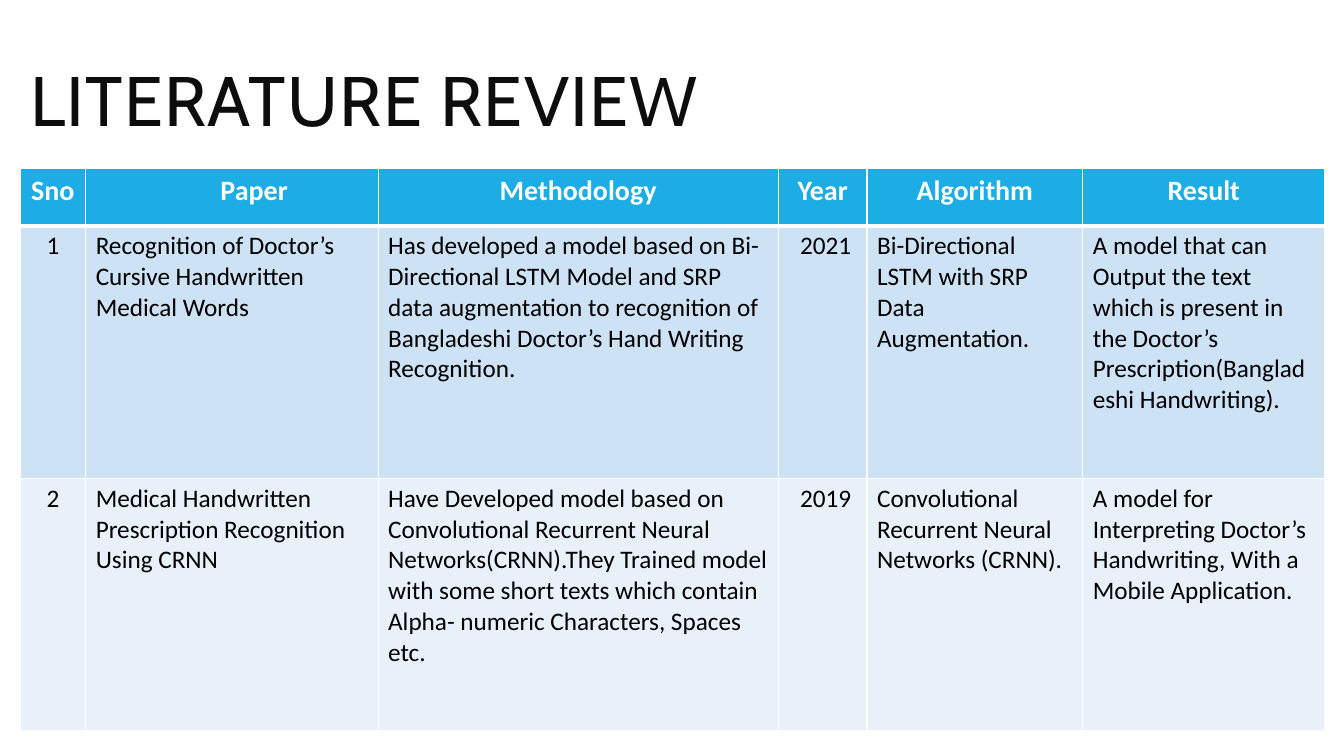
from lxml.etree import SubElement
from pptx import Presentation
from pptx.dml.color import RGBColor
from pptx.enum.text import MSO_ANCHOR, PP_ALIGN
from pptx.oxml.ns import qn
from pptx.util import Inches, Pt

WHITE = RGBColor(0xFF, 0xFF, 0xFF)
BLACK = RGBColor(0x00, 0x00, 0x00)
TITLE_INK = RGBColor(0x0D, 0x0D, 0x0D)
HEADER_BLUE = RGBColor(0x1C, 0xAD, 0xE4)
ROW_BLUES = [RGBColor(0xCD, 0xE3, 0xF5), RGBColor(0xE8, 0xF1, 0xFA)]

COLUMN_WIDTHS = [0.65, 2.9, 3.97, 0.88, 2.14, 2.4]
HEADER_HEIGHT = 0.57
CENTERED_COLUMNS = ("Sno", "Year")
HEADINGS = ["Sno", "Paper", "Methodology", "Year", "Algorithm", "Result"]
PAPERS = [
    ["1",
     "Recognition of Doctor’s Cursive Handwritten Medical Words",
     "Has developed a model based on Bi-Directional LSTM Model and SRP data "
     "augmentation to recognition of Bangladeshi Doctor’s Hand Writing Recognition.",
     "2021",
     "Bi-Directional LSTM with SRP Data Augmentation.",
     "A model that can Output the text which is present in the Doctor’s "
     "Prescription(Bangladeshi Handwriting)."],
    ["2",
     "Medical Handwritten Prescription Recognition Using CRNN",
     "Have Developed model based on Convolutional Recurrent Neural "
     "Networks(CRNN).They Trained model with some short texts which contain "
     "Alpha- numeric Characters, Spaces etc.",
     "2019",
     "Convolutional Recurrent Neural Networks (CRNN).",
     "A model for Interpreting Doctor’s Handwriting, With a Mobile Application."],
]


def set_font(font, name, size, color, bold=False):
    font.name = name
    font.size = Pt(size)
    font.color.rgb = color
    font.bold = bold


def add_title(slide, left, top, width, height):
    title = slide.shapes.add_textbox(
        Inches(left), Inches(top), Inches(width), Inches(height)).text_frame
    title.word_wrap = True
    title.vertical_anchor = MSO_ANCHOR.MIDDLE
    paragraph = title.paragraphs[0]
    paragraph.line_spacing = 0.8
    heading = paragraph.add_run()
    heading.text = "LITERATURE REVIEW"
    set_font(paragraph.font, "Cabin", 50, TITLE_INK)
    # Letter spacing of one point
    heading.font._element.set("spc", "100")


def add_borders(cell, bottom_width):
    properties = cell._tc.get_or_add_tcPr()
    widths = {"a:lnL": 1, "a:lnR": 1, "a:lnT": 1, "a:lnB": bottom_width}
    for position, (side, width) in enumerate(widths.items()):
        line = SubElement(properties, qn(side), w=str(Pt(width)))
        fill = SubElement(line, qn("a:solidFill"))
        SubElement(fill, qn("a:srgbClr"), val=str(WHITE))
        # Borders come before the cell fill
        properties.insert(position, line)


def fill_cell(cell, text, background, ink, size, bold, centered, indent, bottom_width):
    cell.text = text
    cell.margin_left = Inches(0.1 + indent)
    cell.fill.solid()
    cell.fill.fore_color.rgb = background
    paragraph = cell.text_frame.paragraphs[0]
    paragraph.alignment = PP_ALIGN.CENTER if centered else PP_ALIGN.LEFT
    set_font(paragraph.font, "Calibri", size, ink, bold)
    add_borders(cell, bottom_width)


def add_review_table(slide, left, top, width, height):
    review = slide.shapes.add_table(
        len(PAPERS) + 1, len(HEADINGS),
        Inches(left), Inches(top), Inches(width), Inches(height)).table
    for column, column_width in zip(review.columns, COLUMN_WIDTHS):
        column.width = Inches(column_width)
    paper_height = (height - HEADER_HEIGHT) / len(PAPERS)
    for index, row in enumerate(review.rows):
        row.height = Inches(paper_height if index else HEADER_HEIGHT)

    # Header row
    for index, heading in enumerate(HEADINGS):
        indent = 0.44 if heading == "Paper" else 0
        fill_cell(review.cell(0, index), heading, HEADER_BLUE, WHITE, 20,
                  True, True, indent, 3)

    # One row per paper
    for number, (paper, background) in enumerate(zip(PAPERS, ROW_BLUES), start=1):
        for index, (heading, text) in enumerate(zip(HEADINGS, paper)):
            indent = 0.06 if heading == "Year" else 0
            fill_cell(review.cell(number, index), text, background, BLACK, 18,
                      False, heading in CENTERED_COLUMNS, indent, 1)
    # Both sides of the shared edge carry the thick header rule
    for index in range(len(HEADINGS)):
        top_line = review.cell(1, index)._tc.tcPr.find(qn("a:lnT"))
        top_line.set("w", str(Pt(3)))


def main():
    presentation = Presentation()
    presentation.slide_width = Inches(13.33)
    presentation.slide_height = Inches(7.5)
    slide = presentation.slides.add_slide(presentation.slide_layouts[6])
    add_title(slide, 0.2, 0.24, 10.63, 1.64)
    add_review_table(slide, 0.2, 1.67, 12.94, 5.58)
    presentation.save("out.pptx")


if __name__ == "__main__":
    main()
